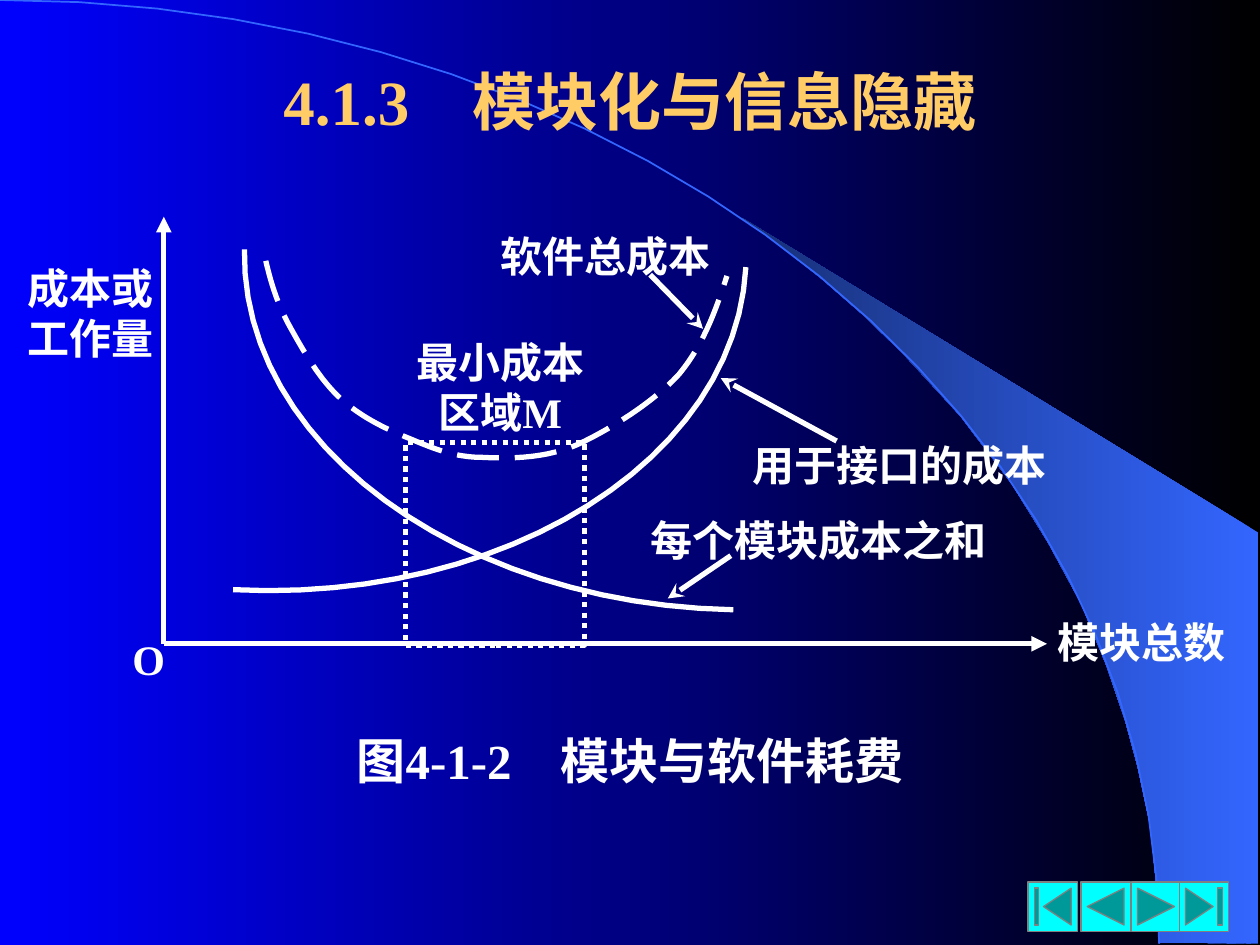
from lxml import etree
from pptx import Presentation
from pptx.dml.color import RGBColor
from pptx.enum import dml, shapes, text
from pptx.oxml.ns import qn
from pptx.util import Inches, Pt

WHITE = RGBColor(0xFF, 0xFF, 0xFF)
BLACK = RGBColor(0x00, 0x00, 0x00)
BLUE = RGBColor(0x00, 0x00, 0xFF)
SKY_BLUE = RGBColor(0x33, 0x66, 0xFF)
NAVY = RGBColor(0x17, 0x2F, 0x75)
GOLD = RGBColor(0xFF, 0xCC, 0x66)
CYAN = RGBColor(0x00, 0xFF, 0xFF)
GRAY = RGBColor(0x80, 0x80, 0x80)
CURVE_STEPS = 24
CENTER, JUSTIFY = text.PP_ALIGN.CENTER, text.PP_ALIGN.JUSTIFY

presentation = Presentation()
presentation.slide_width = Inches(10)
presentation.slide_height = Inches(7.5)
slide = presentation.slides.add_slide(presentation.slide_layouts[6])


def add_text(lines, left, top, width, height, size=24, color=WHITE,
             align=JUSTIFY, anchor=text.MSO_ANCHOR.TOP, inset=(0, 0)):
    """Add bold text, one paragraph per line; inset is (horizontal, vertical) in inches."""
    box = slide.shapes.add_textbox(Inches(left), Inches(top), Inches(width), Inches(height))
    frame = box.text_frame
    frame.word_wrap = True
    frame.vertical_anchor = anchor
    frame.margin_left = frame.margin_right = Inches(inset[0])
    frame.margin_top = frame.margin_bottom = Inches(inset[1])
    frame.text = lines
    for paragraph in frame.paragraphs:
        paragraph.alignment = align
        font = paragraph.font
        font.name = "Times New Roman"
        font.size = Pt(size)
        font.bold = True
        font.color.rgb = color


def add_curve(points, color=WHITE, width=3, dash=None):
    """Draw joined cubic Bezier curves: a start point, then three points per curve."""
    vertices = []
    for first in range(0, len(points) - 1, 3):
        a, b, c, d = points[first:first + 4]
        for step in range(1, CURVE_STEPS + 1):
            t = step / CURVE_STEPS
            s = 1 - t
            vertices.append([
                Inches(s**3 * a[i] + 3 * s * s * t * b[i] + 3 * s * t * t * c[i] + t**3 * d[i])
                for i in (0, 1)
            ])
    builder = slide.shapes.build_freeform(Inches(points[0][0]), Inches(points[0][1]))
    builder.add_line_segments(vertices, close=False)
    curve = builder.convert_to_shape()
    curve.shadow.inherit = False
    curve.fill.background()
    curve.line.color.rgb = color
    curve.line.width = Pt(width)
    if dash:
        curve.line.dash_style = dash


# Background gradient and the lit wedge beside the large arc
background = slide.background.fill
wedge_edge = [
    (9.2, 7.48), (9.99, 7.49), (9.99, 4.23), (5.89, 1.73), (6.24, 1.99), (6.53, 2.22),
    (6.85, 2.5), (7.16, 2.8), (7.62, 3.3), (8.03, 3.84), (8.32, 4.31), (8.58, 4.79),
    (8.78, 5.28), (8.93, 5.72), (9.03, 6.09), (9.13, 6.56), (9.17, 6.96),
]
wedge_points = [(Inches(x), Inches(y)) for x, y in wedge_edge]
wedge_builder = slide.shapes.build_freeform(*wedge_points[0])
wedge_builder.add_line_segments(wedge_points[1:], close=True)
wedge = wedge_builder.convert_to_shape()
wedge.shadow.inherit = False
wedge.line.fill.background()
for fill, colors in ((background, (BLACK, BLUE)), (wedge.fill, (SKY_BLUE, NAVY))):
    fill.gradient()
    fill.gradient_angle = 180
    for stop, color in zip(fill.gradient_stops, colors):
        stop.color.rgb = color
add_curve([(0, 0), (5.08, 0), (9.2, 3.35), (9.2, 7.49)], color=SKY_BLUE, width=1)

# Title and caption
add_text("4.1.3　模块化与信息隐藏", 0.75, 0.17, 8.5, 1.25, size=36, color=GOLD,
         align=CENTER, anchor=text.MSO_ANCHOR.MIDDLE, inset=(0.1, 0.05))
add_text("图4-1-2　模块与软件耗费", 0.75, 5.75, 8.5, 0.58, size=28,
         align=CENTER, inset=(0.1, 0.05))

# Navigation buttons
button_kinds = shapes.MSO_SHAPE
buttons = [
    (button_kinds.ACTION_BUTTON_BEGINNING, 8.16),
    (button_kinds.ACTION_BUTTON_BACK_OR_PREVIOUS, 8.58),
    (button_kinds.ACTION_BUTTON_FORWARD_OR_NEXT, 8.98),
    (button_kinds.ACTION_BUTTON_END, 9.36),
]
for kind, left in buttons:
    button = slide.shapes.add_shape(kind, Inches(left), Inches(7), Inches(0.39), Inches(0.39))
    button.shadow.inherit = False
    button.fill.solid()
    button.fill.fore_color.rgb = CYAN
    button.line.color.rgb = GRAY
    button.line.width = Pt(0.75)

# Cost curves: modules, interfaces, total
add_curve([(5.82, 4.84), (3.65, 4.8), (1.91, 3.52), (1.94, 1.98)])
add_curve([(1.85, 4.68), (4.02, 4.79), (5.84, 3.64), (5.92, 2.12)])
add_curve([
    (2.11, 2.07), (2.15, 2.24), (2.2, 2.41), (2.3, 2.59),
    (2.4, 2.77), (2.53, 3), (2.69, 3.15), (2.85, 3.3), (3.05, 3.4), (3.25, 3.48),
    (3.44, 3.56), (3.61, 3.63), (3.83, 3.63), (4.05, 3.64), (4.32, 3.64), (4.58, 3.53),
    (4.84, 3.41), (5.19, 3.19), (5.39, 2.97), (5.58, 2.74), (5.68, 2.47), (5.77, 2.19),
], dash=dml.MSO_LINE.LONG_DASH)

# Minimum cost region
region = slide.shapes.add_shape(
    shapes.MSO_SHAPE.RECTANGLE, Inches(3.22), Inches(3.51), Inches(1.42), Inches(1.61))
region.shadow.inherit = False
region.fill.background()
region.line.color.rgb = WHITE
region.line.width = Pt(3)
region.line.dash_style = dml.MSO_LINE.ROUND_DOT

# Axes and label pointers, each with its head at the end point
arrows = [
    ((1.3, 5.11), (8.31, 5.11), "triangle"),
    ((1.3, 5.11), (1.3, 1.72), "triangle"),
    ((5.16, 2.18), (5.58, 2.61), "stealth"),
    ((6.64, 3.5), (5.72, 3), "stealth"),
    ((5.8, 4.41), (5.3, 4.75), "stealth"),
]
for start, end, head in arrows:
    arrow = slide.shapes.add_connector(
        shapes.MSO_CONNECTOR.STRAIGHT, *[Inches(value) for value in start + end])
    arrow.line.color.rgb = WHITE
    arrow.line.width = Pt(3)
    properties = arrow._element.spPr
    etree.SubElement(properties.find(qn("a:ln")), qn("a:tailEnd"), type=head)
    etree.SubElement(properties, qn("a:effectLst"))

# Diagram labels
add_text("最小成本\n区域M", 3.22, 2.67, 1.5, 0.75, align=CENTER)
labels = [
    ("O", 1.05, 5.03, 0.6, 0.39),
    ("软件总成本", 3.97, 1.83, 1.78, 0.42),
    ("用于接口的成本", 5.97, 3.49, 2.42, 0.43),
    ("每个模块成本之和", 5.16, 4.08, 2.72, 0.33),
    ("模块总数", 8.39, 4.89, 1.36, 0.44),
    ("成本或\n工作量", 0.22, 2.08, 1.09, 0.82),
]
for label in labels:
    add_text(*label)

presentation.save("out.pptx")
